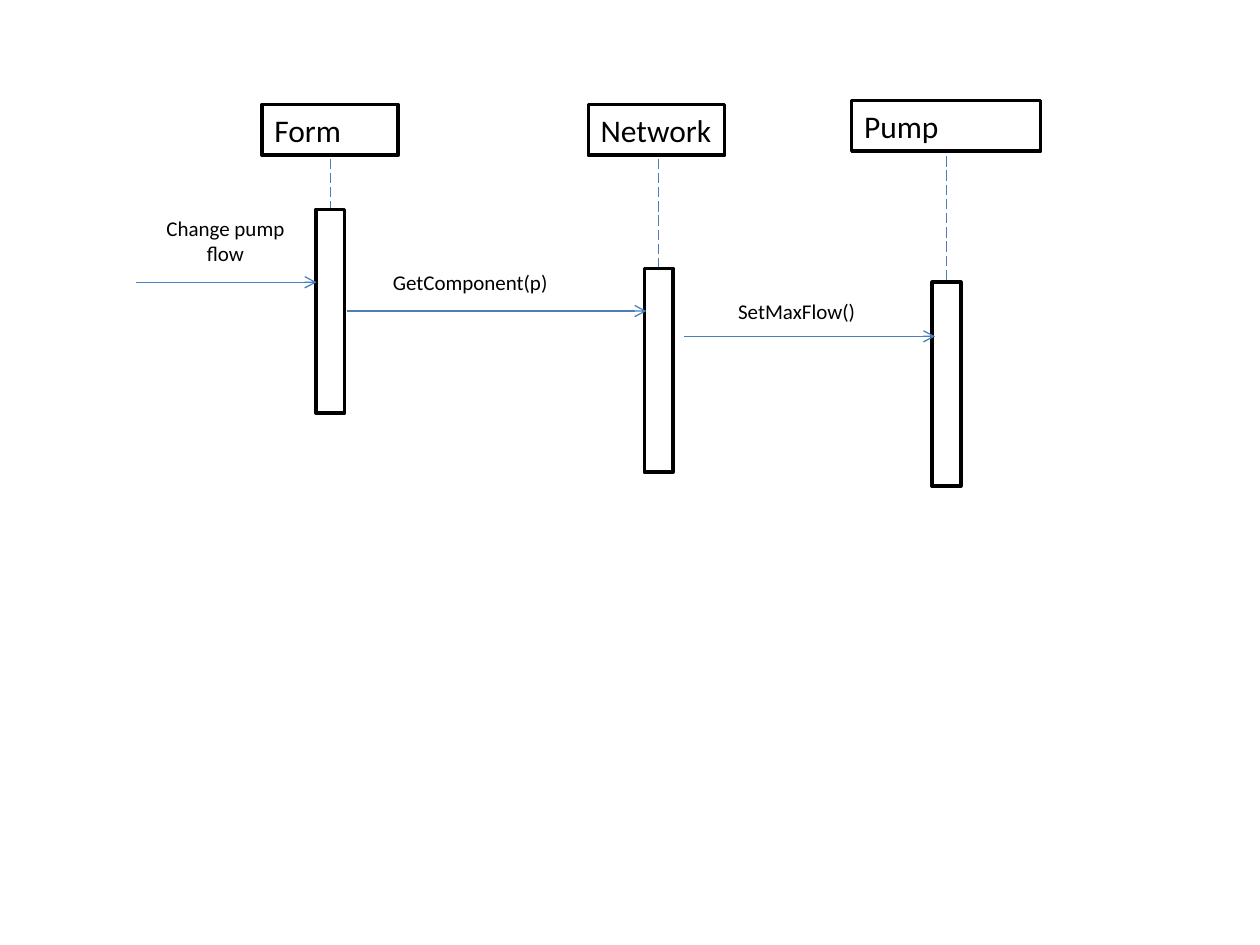
from dataclasses import dataclass

import lxml.etree
import pptx
import pptx.dml.color
import pptx.enum.dml
import pptx.enum.shapes
import pptx.enum.text
import pptx.oxml.ns
import pptx.util


@dataclass(frozen=True)
class Theme:
    font: str = "Calibri"
    ink: str = "000000"
    paper: str = "FFFFFF"
    accent: str = "4B7EBC"
    name_size: float = 18
    message_size: float = 12
    box_line: float = 2
    thin_line: float = 0.75


THEME = Theme()
ALIGN = pptx.enum.text.PP_ALIGN
HEADER_HEIGHT = 1.02
BAR_WIDTH, BAR_HEIGHT = 0.58, 4.11

# name, header left, top, width, lifeline x, lifeline top, bar top (cm)
PARTICIPANTS = [
    ("Form", 5.28, 2.11, 2.75, 6.66, 3.2, 4.22),
    ("Network", 11.86, 2.11, 2.75, 13.28, 3.2, 5.41),
    ("Pump", 17.17, 2.03, 3.81, 19.08, 3.15, 5.69),
]

# text, label left, top, width, height, alignment, arrow start, end, y (cm)
MESSAGES = [
    ("Change pump flow", 2.92, 4.22, 3.25, 1.27, ALIGN.CENTER, 2.74, 6.38, 5.69),
    ("GetComponent(p)", 7.67, 5.31, 4.7, 0.76, ALIGN.LEFT, 6.99, 13.03, 6.27),
    ("SetMaxFlow()", 14.63, 5.89, 3.51, 0.76, ALIGN.LEFT, 13.79, 18.85, 6.78),
]


def color(value):
    return pptx.dml.color.RGBColor.from_string(value)


def lengths(*values):
    return [pptx.util.Cm(value) for value in values]


def style_box(shape, outlined):
    shape.fill.solid()
    shape.fill.fore_color.rgb = color(THEME.paper)
    if outlined:
        shape.line.color.rgb = color(THEME.ink)
        shape.line.width = pptx.util.Pt(THEME.box_line)


def add_text(slide, text, left, top, width, height, size,
             alignment=ALIGN.LEFT, outlined=False):
    shape = slide.shapes.add_textbox(*lengths(left, top, width, height))
    style_box(shape, outlined)
    frame = shape.text_frame
    frame.word_wrap = True
    frame.auto_size = pptx.enum.text.MSO_AUTO_SIZE.SHAPE_TO_FIT_TEXT
    paragraph = frame.paragraphs[0]
    paragraph.text = text
    paragraph.alignment = alignment
    paragraph.font.name = THEME.font
    paragraph.font.size = pptx.util.Pt(size)
    paragraph.font.color.rgb = color(THEME.ink)


def add_bar(slide, center, top):
    shape = slide.shapes.add_shape(
        pptx.enum.shapes.MSO_SHAPE.RECTANGLE,
        *lengths(center - BAR_WIDTH / 2, top, BAR_WIDTH, BAR_HEIGHT))
    shape.shadow.inherit = False
    style_box(shape, outlined=True)


def add_line(slide, start, end):
    connector = slide.shapes.add_connector(
        pptx.enum.shapes.MSO_CONNECTOR.STRAIGHT, *lengths(*start, *end))
    connector.line.color.rgb = color(THEME.accent)
    connector.line.width = pptx.util.Pt(THEME.thin_line)
    lxml.etree.SubElement(connector._element.spPr,
                          pptx.oxml.ns.qn("a:effectLst"))
    return connector


def add_participant(slide, name, left, top, width, center, line_top, bar_top):
    add_text(slide, name, left, top, width, HEADER_HEIGHT, THEME.name_size,
             outlined=True)
    lifeline = add_line(slide, (center, line_top), (center, bar_top))
    lifeline.line.dash_style = pptx.enum.dml.MSO_LINE.LONG_DASH
    add_bar(slide, center, bar_top)


def add_message(slide, text, left, top, width, height, alignment, start, end, y):
    add_text(slide, text, left, top, width, height, THEME.message_size, alignment)
    arrow = add_line(slide, (start, y), (end, y))
    outline = arrow._element.spPr.find(pptx.oxml.ns.qn("a:ln"))
    lxml.etree.SubElement(outline, pptx.oxml.ns.qn("a:tailEnd"), type="arrow")


def main():
    presentation = pptx.Presentation()
    presentation.slide_width, presentation.slide_height = lengths(25.4, 19.05)
    slide = presentation.slides.add_slide(presentation.slide_layouts[6])

    # Participants with lifelines and activation bars
    for participant in PARTICIPANTS:
        add_participant(slide, *participant)

    # Messages between them
    for message in MESSAGES:
        add_message(slide, *message)

    presentation.save("out.pptx")


if __name__ == "__main__":
    main()
